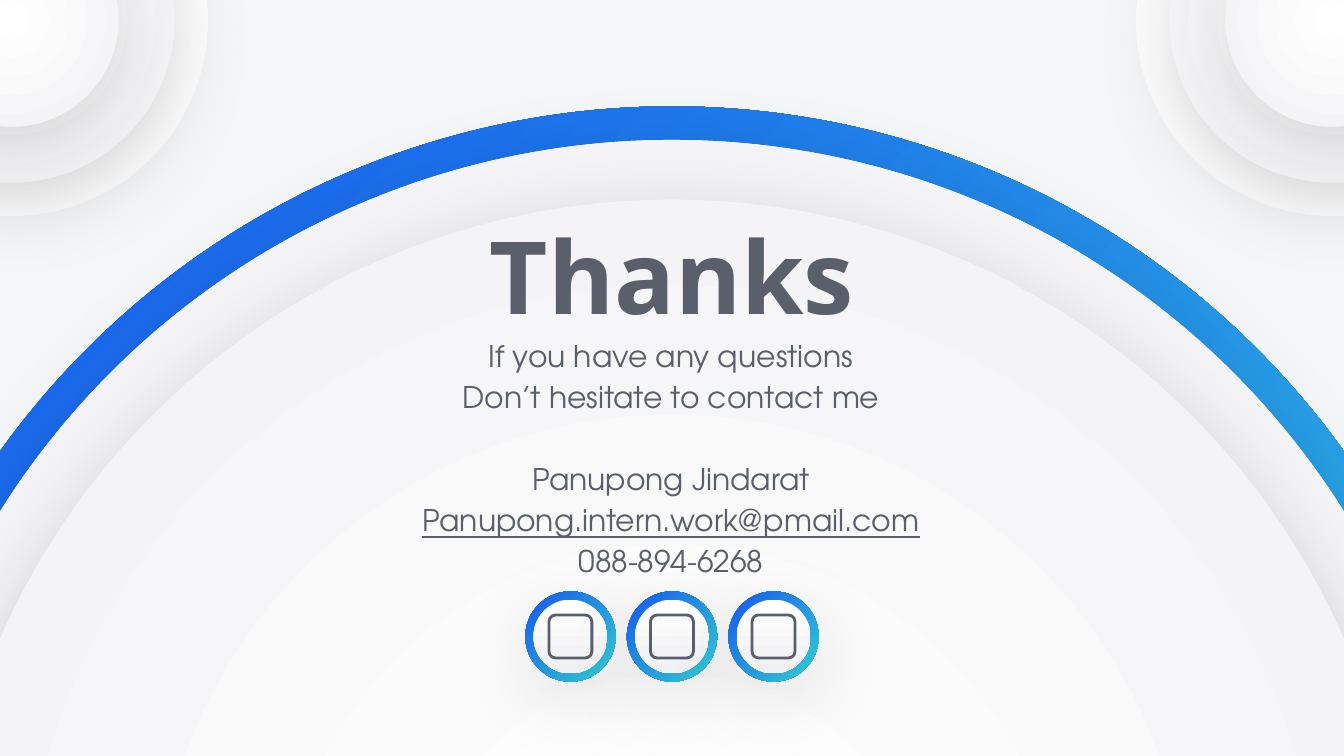
from lxml import etree
from pptx import Presentation
from pptx.dml.color import RGBColor
from pptx.enum.shapes import MSO_SHAPE
from pptx.enum.text import MSO_ANCHOR, MSO_AUTO_SIZE, PP_ALIGN
from pptx.oxml.ns import qn
from pptx.util import Pt

OVAL = MSO_SHAPE.OVAL
ROUND = MSO_SHAPE.ROUNDED_RECTANGLE
MIDDLE = MSO_ANCHOR.MIDDLE
FIXED = MSO_AUTO_SIZE.NONE
CENTER = PP_ALIGN.CENTER

HEX = {
    "back": "F5F6F8",
    "white": "FFFFFF",
    "pale": "F0F0F3",
    "blue": "1658F1",
    "aqua": "36DBE0",
    "ink": "595F6B",
    "shade": "000000",
}


def color(name):
    return RGBColor.from_string(HEX[name])


def add_shape(slide, kind, x, y, size):
    half = size / 2
    shape = slide.shapes.add_shape(kind, Pt(x - half), Pt(y - half), Pt(size), Pt(size))
    shape.shadow.inherit = False
    shape.line.fill.background()
    return shape


def fade(shape, first, last, angle=0, radial=False):
    fill = shape.fill
    fill.gradient()
    fill.gradient_angle = angle
    for stop, name, place in zip(fill.gradient_stops, (first, last), (0, 1)):
        stop.color.rgb = color(name)
        stop.position = place
    if radial:
        line = shape.element.spPr.find(".//" + qn("a:lin"))
        grad = line.getparent()
        grad.remove(line)
        track = etree.SubElement(grad, qn("a:path"), path="circle")
        sides = dict.fromkeys("ltrb", "50000")
        etree.SubElement(track, qn("a:fillToRect"), **sides)


def cast(shape):
    effects = shape.element.spPr.find(qn("a:effectLst"))
    outer = etree.SubElement(
        effects, qn("a:outerShdw"), blurRad=str(Pt(45)), dist=str(Pt(11.2)),
        dir=str(85 * 60000), algn="bl", rotWithShape="0")
    tint = etree.SubElement(outer, qn("a:srgbClr"), val=HEX["shade"])
    etree.SubElement(tint, qn("a:alpha"), val="15000")


def add_rim(slide, x, y, size):
    rim = add_shape(slide, OVAL, x, y, size)
    fade(rim, "blue", "aqua", angle=315)


def add_disc(slide, x, y, size, **style):
    disc = add_shape(slide, OVAL, x, y, size)
    fade(disc, "white", "pale", **style)
    cast(disc)


def add_dome(slide):
    add_rim(slide, 360, 500, 886)
    for size in (850, 786):
        add_disc(slide, 360, 500, size, radial=True)


def add_corner(slide, x):
    base = add_shape(slide, OVAL, x, 10.8, 210)
    base.fill.solid()
    base.fill.fore_color.rgb = color("white")
    for size in (174, 114):
        add_disc(slide, x, 10.8, size, radial=True)


def add_badge(slide, x):
    add_rim(slide, x, 341, 48.4)
    add_disc(slide, x, 341, 39.6, angle=270)
    icon = add_shape(slide, ROUND, x, 341, 23)
    icon.adjustments[0] = 0.15
    icon.fill.background()
    icon.line.color.rgb = color("ink")
    icon.line.width = Pt(1.5)


def set_frame(holder, left, top, width, height):
    holder.left, holder.top = Pt(left), Pt(top)
    holder.width, holder.height = Pt(width), Pt(height)
    frame = holder.text_frame
    frame.auto_size = FIXED
    frame.word_wrap = True
    frame.vertical_anchor = MIDDLE
    frame.margin_left = frame.margin_right = Pt(7.2)
    frame.margin_top = frame.margin_bottom = Pt(7.2)
    holder.element.getparent().append(holder.element)
    return frame


def write(para, text, font, size, bold=False, under=False, space=1, gap=0):
    para.alignment = CENTER
    para.line_spacing = space
    para.space_before = Pt(gap)
    run = para.add_run()
    run.text = text
    run.font.name = font
    run.font.size = Pt(size)
    run.font.bold = bold
    run.font.underline = under
    run.font.color.rgb = color("ink")


def add_text(slide):
    title, body = slide.placeholders
    frame = set_frame(title, 56, 123, 608, 48)
    write(frame.paragraphs[0], "Thanks", "Noto Sans", 54, bold=True)

    lines = [
        ("If you have any questions", {}),
        ("Don’t hesitate to contact me", {}),
        ("Panupong Jindarat", {"gap": 22}),
        ("Panupong.intern.work@pmail.com", {"under": True}),
        ("088-894-6268", {}),
    ]
    frame = set_frame(body, 55.5, 178.5, 608, 131)
    for spot, (text, style) in enumerate(lines):
        para = frame.add_paragraph() if spot else frame.paragraphs[0]
        write(para, text, "TeX Gyre Adventor", 16, space=1.15, **style)


def main():
    deck = Presentation()
    deck.slide_width, deck.slide_height = Pt(720), Pt(405)
    slide = deck.slides.add_slide(deck.slide_layouts[0])
    slide.background.fill.solid()
    slide.background.fill.fore_color.rgb = color("back")
    add_dome(slide)
    for x in (713.5, 6.5):
        add_corner(slide, x)
    add_text(slide)
    for step in (-1, 0, 1):
        add_badge(slide, 360 + step * 54.4)
    deck.save("out.pptx")


if __name__ == "__main__":
    main()
